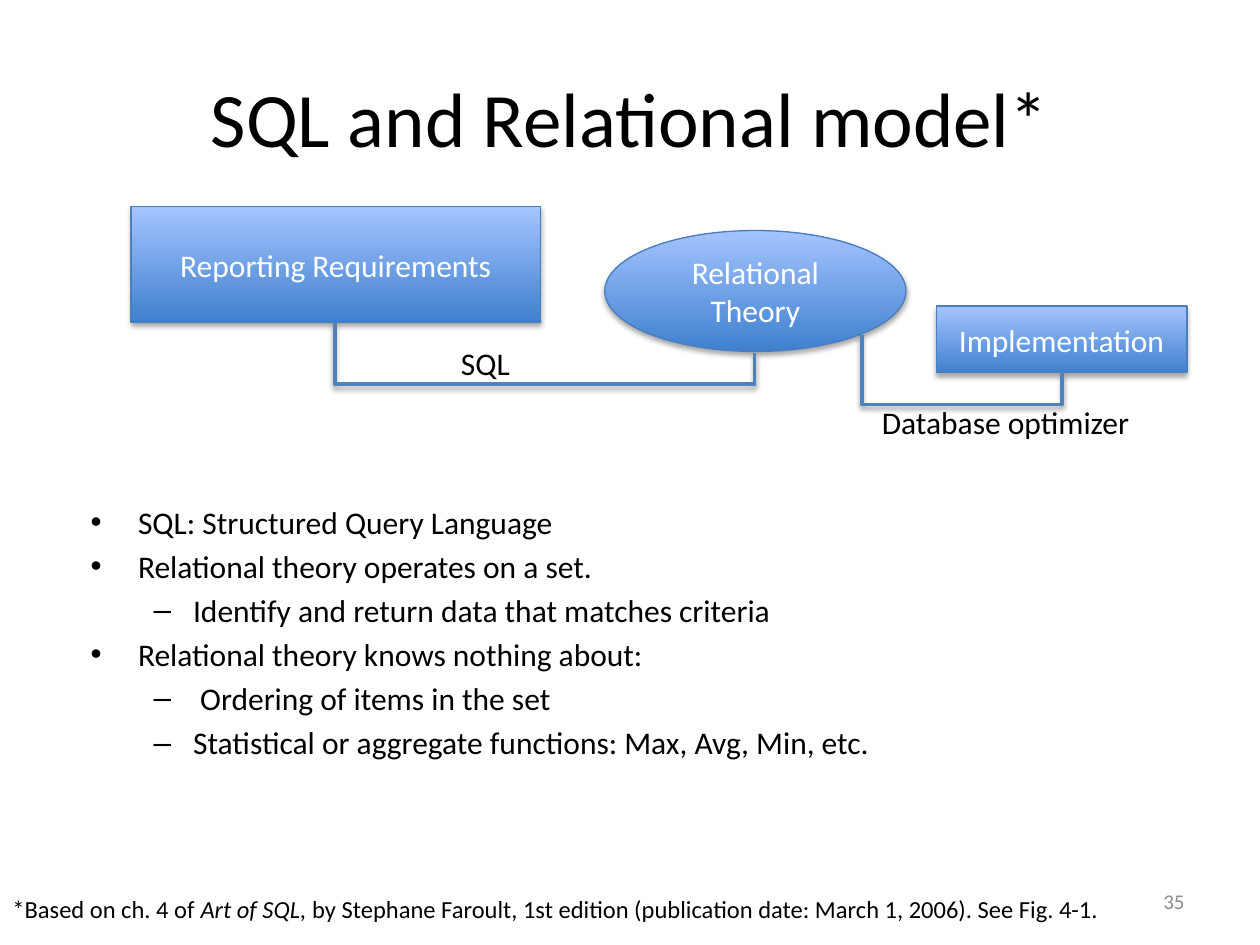
from dataclasses import dataclass

from lxml.etree import SubElement
from pptx import Presentation
from pptx.dml.color import RGBColor
from pptx.enum.shapes import MSO_CONNECTOR as Conn, MSO_SHAPE as Shp
from pptx.enum.text import MSO_ANCHOR as Anchor, PP_ALIGN as Align
from pptx.oxml.ns import qn
from pptx.util import Inches, Pt

FONT = "Calibri"
COLORS = {
    "text": "000000",
    "light": "FFFFFF",
    "muted": "8C8C8C",
    "grad_bottom": "3F80CE",
    "grad_top": "A4C4FF",
    "outline": "4B7EBC",
    "link": "4F81BD",
    "shadow": "000000",
}


@dataclass
class Node:
    text: str
    kind: Shp
    left: float
    top: float
    width: float
    height: float


@dataclass
class Link:
    """Elbow that drops from the start to a low level and rises to the end."""
    x1: float
    y1: float
    x2: float
    y2: float
    low: float


@dataclass
class Label:
    runs: list[tuple[str, bool]]  # text, italic
    left: float
    top: float
    width: float
    height: float
    size: int = 18
    color: str = "text"
    align: Align = Align.LEFT
    anchor: Anchor = Anchor.TOP


def rgb(name: str) -> RGBColor:
    return RGBColor.from_string(COLORS[name])


def add_run(p, text: str, size: int, color: str = "text", italic: bool = False) -> None:
    r = p.add_run()
    r.text = text
    r.font.name = FONT
    r.font.size = Pt(size)
    r.font.italic = italic
    r.font.color.rgb = rgb(color)


def add_shadow(s, opacity: int, distance: float) -> None:
    effects = SubElement(s._element.spPr, qn("a:effectLst"))
    outer = SubElement(effects, qn("a:outerShdw"), blurRad=str(Pt(3.1)),
                       dist=str(Pt(distance)), dir="5400000", rotWithShape="0")
    color = SubElement(outer, qn("a:srgbClr"), val=COLORS["shadow"])
    SubElement(color, qn("a:alpha"), val=str(opacity * 1000))


def draw_node(slide, node: Node) -> None:
    s = slide.shapes.add_shape(node.kind, Inches(node.left), Inches(node.top),
                               Inches(node.width), Inches(node.height))
    s.fill.gradient()
    s.fill.gradient_angle = 90
    for stop, name in zip(s.fill.gradient_stops, ("grad_bottom", "grad_top")):
        stop.color.rgb = rgb(name)
    s.line.color.rgb = rgb("outline")
    s.line.width = Pt(0.75)
    add_shadow(s, 35, 1.8)
    tf = s.text_frame
    tf.word_wrap = True
    tf.vertical_anchor = Anchor.MIDDLE
    p = tf.paragraphs[0]
    p.alignment = Align.CENTER
    add_run(p, node.text, 18, "light")


def draw_link(slide, link: Link) -> None:
    # The elbow lies on its side, so its box has width and height swapped
    w, h = link.y2 - link.y1, link.x2 - link.x1
    left = (link.x1 + link.x2 - w) / 2
    top = (link.y1 + link.y2 - h) / 2
    s = slide.shapes.add_connector(Conn.ELBOW, Inches(left), Inches(top),
                                   Inches(left + w), Inches(top + h))
    xfrm = s._element.spPr.find(qn("a:xfrm"))
    xfrm.set("rot", str(270 * 60000))
    xfrm.set("flipH", "1")
    geom = s._element.spPr.find(qn("a:prstGeom"))
    guides = geom.find(qn("a:avLst"))
    if guides is None:
        guides = SubElement(geom, qn("a:avLst"))
    bend = round((link.low - link.y1) / w * 100000)
    SubElement(guides, qn("a:gd"), name="adj1", fmla=f"val {bend}")
    s.line.color.rgb = rgb("link")
    s.line.width = Pt(2)
    add_shadow(s, 38, 1.6)


def draw_label(slide, label: Label) -> None:
    s = slide.shapes.add_textbox(Inches(label.left), Inches(label.top),
                                 Inches(label.width), Inches(label.height))
    tf = s.text_frame
    tf.word_wrap = True
    tf.vertical_anchor = label.anchor
    p = tf.paragraphs[0]
    p.alignment = label.align
    for text, italic in label.runs:
        add_run(p, text, label.size, label.color, italic)


def place(s, left: float, top: float, width: float, height: float) -> None:
    s.left, s.top = Inches(left), Inches(top)
    s.width, s.height = Inches(width), Inches(height)


NODES = [
    Node("Reporting Requirements", Shp.RECTANGLE, 1.04, 1.64, 3.25, 0.92),
    Node("Relational Theory", Shp.OVAL, 4.8, 1.83, 2.39, 0.96),
    Node("Implementation", Shp.RECTANGLE, 7.43, 2.43, 1.99, 0.53),
]
LINKS = [
    Link(2.66, 2.56, 5.99, 2.8, low=3.05),
    Link(6.84, 2.66, 8.43, 2.96, low=3.21),
]
LABELS = [
    Label([("SQL", False)], 3.56, 2.68, 1.24, 0.4),
    Label([("Database optimizer", False)], 6.9, 3.15, 2.18, 0.4),
    Label([("35", False)], 7.17, 6.95, 2.33, 0.4, 12, "muted", Align.RIGHT, Anchor.MIDDLE),
    Label([("*Based on ch. 4 of ", False), ("Art of SQL, ", True),
           ("by Stephane Faroult, 1st edition (publication date: March 1, 2006). "
            "See Fig. 4-1.", False)], 0, 7.05, 9.7, 0.34, 14),
]
BULLETS = [  # level, text
    (0, "SQL: Structured Query Language"),
    (0, "Relational theory operates on a set."),
    (1, "Identify and return data that matches criteria"),
    (0, "Relational theory knows nothing about:"),
    (1, " Ordering of items in the set"),
    (1, "Statistical or aggregate functions: Max, Avg, Min, etc."),
]


def main() -> None:
    prs = Presentation()
    prs.slide_width, prs.slide_height = Inches(10), Inches(7.5)
    slide = prs.slides.add_slide(prs.slide_layouts[1])

    # Title
    title = slide.shapes.title
    place(title, 0.5, 0.3, 9, 1.25)
    add_run(title.text_frame.paragraphs[0], "SQL and Relational model*", 44)

    # Bullet list
    body = slide.placeholders[1]
    place(body, 0.62, 3.94, 9, 3)
    tf = body.text_frame
    for i, (level, text) in enumerate(BULLETS):
        p = tf.add_paragraph() if i else tf.paragraphs[0]
        p.level = level
        add_run(p, text, 18)

    # Diagram, then its labels, the page number and the footnote
    for node in NODES:
        draw_node(slide, node)
    for link in LINKS:
        draw_link(slide, link)
    for label in LABELS:
        draw_label(slide, label)

    prs.save("out.pptx")


if __name__ == "__main__":
    main()
